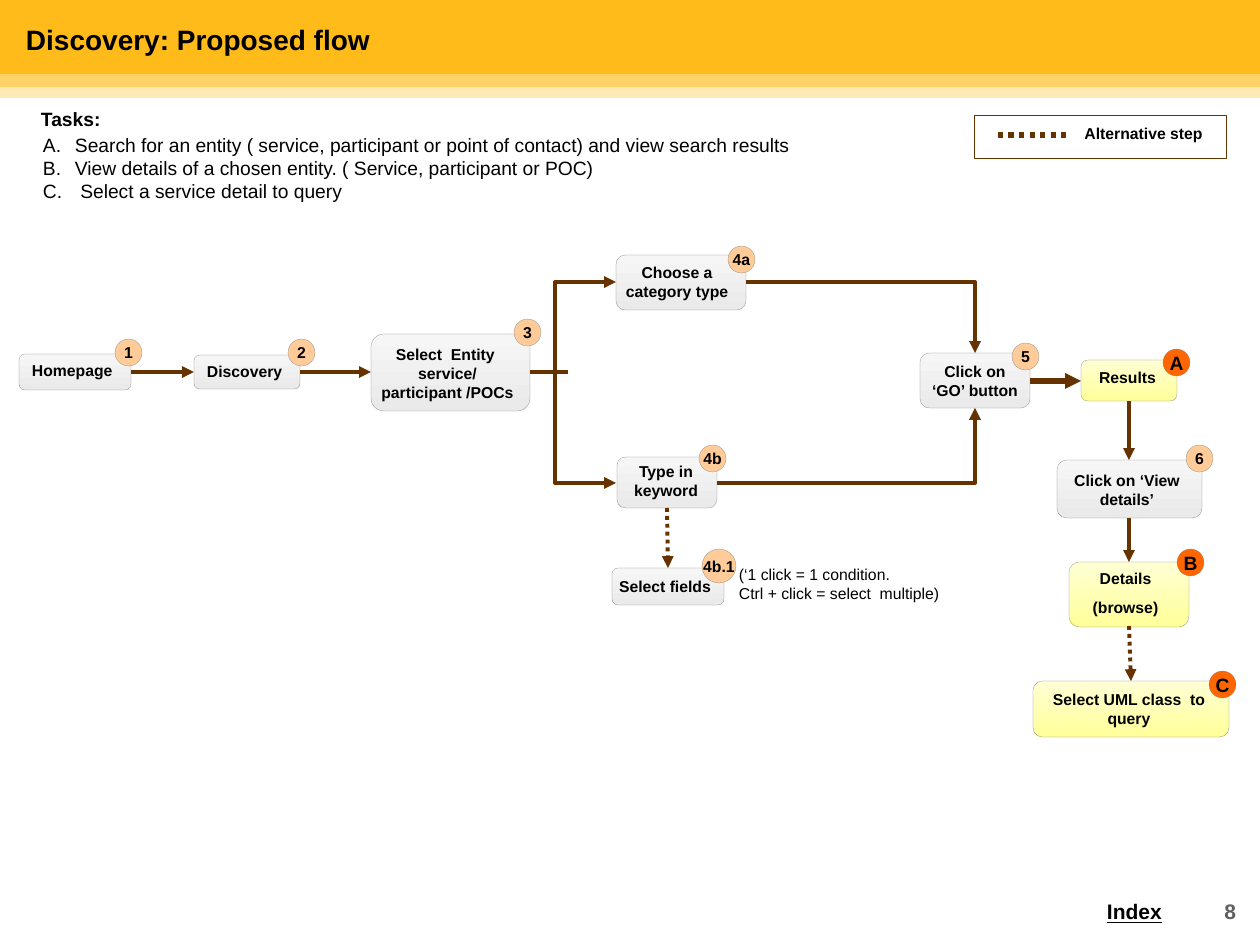
import pptx
import pptx.dml.color
import pptx.enum.dml
import pptx.enum.shapes
import pptx.enum.text
import pptx.oxml.ns
import pptx.util
from lxml import etree

SCALE = 914400 / 63  # EMU in one px
SHAPE = pptx.enum.shapes.MSO_SHAPE
ALIGN = pptx.enum.text.PP_ALIGN
BLACK, BROWN, GREY = "000000", "663300", "808080"
STEP, RESULT = ("F6F6F6", "EAEAEA"), ("FFFFD5", "FFFF99")
STEP_BADGE, RESULT_BADGE = "FFCC99", "FF6600"


def emu(*lengths):
    return [round(length * SCALE) for length in lengths]


def rgb(value):
    return pptx.dml.color.RGBColor.from_string(value)


def add_child(parent, tag, **attributes):
    return etree.SubElement(parent, pptx.oxml.ns.qn(tag), attributes)


def set_all(target, values):
    for name, value in values.items():
        setattr(target, name, value)


class FlowSlide:
    font = "Arial"

    def __init__(self, presentation):
        self.slide = presentation.slides.add_slide(presentation.slide_layouts[5])
        self.shapes = self.slide.shapes

    def fill_text(self, shape, lines, size=18, bold=True, color=BLACK, align=ALIGN.LEFT,
                  space=0, inset=(6, 3), numbered=False, underline=None, wrap=True,
                  anchor=pptx.enum.text.MSO_ANCHOR.TOP):
        frame = shape.text_frame
        side, top = emu(*inset)
        set_all(frame, {"word_wrap": wrap, "vertical_anchor": anchor, "margin_left": side,
                        "margin_right": side, "margin_top": top, "margin_bottom": top})
        frame.text = "\n".join(lines)
        for index, paragraph in enumerate(frame.paragraphs):
            set_all(paragraph, {"alignment": align,
                                "space_before": pptx.util.Pt(space if index else 0)})
            if numbered:
                properties = paragraph._p.get_or_add_pPr()
                indent = emu(32)[0]
                properties.set("marL", str(indent))
                properties.set("indent", str(-indent))
                add_child(properties, "a:buFont", typeface="+mj-lt")
                add_child(properties, "a:buAutoNum", type="alphaUcPeriod")
            for run in paragraph.runs:
                set_all(run.font, {"name": self.font, "size": pptx.util.Pt(size),
                                   "bold": bold, "underline": underline})
                run.font.color.rgb = rgb(color)

    def title(self, text, box, **style):
        title = self.shapes.title
        set_all(title, dict(zip(("left", "top", "width", "height"), emu(*box))))
        self.fill_text(title, [text], **style)
        self.shapes._spTree.append(title._element)  # above the header bands

    def text(self, lines, box, **style):
        self.fill_text(self.shapes.add_textbox(*emu(*box)), lines, **style)

    def shape(self, kind, box, fill=None, line=None, width=0.25, opacity=100):
        shape = self.shapes.add_shape(kind, *emu(*box))
        shape.shadow.inherit = False
        if fill is None:
            shape.fill.background()
        elif isinstance(fill, tuple):
            shape.fill.gradient()
            shape.fill.gradient_angle = 270
            for stop, color in zip(shape.fill.gradient_stops, fill):
                stop.color.rgb = rgb(color)
        else:
            shape.fill.solid()
            shape.fill.fore_color.rgb = rgb(fill)
            if opacity < 100:
                color = shape._element.spPr.find(".//" + pptx.oxml.ns.qn("a:srgbClr"))
                add_child(color, "a:alpha", val=str(opacity * 1000))
        if line:
            shape.line.color.rgb = rgb(line)
            shape.line.width = pptx.util.Pt(width)
        else:
            shape.line.fill.background()
        return shape

    def badge(self, text, box, fill, size):
        badge = self.shape(SHAPE.OVAL, box, fill, GREY)
        self.fill_text(badge, [text], size=size, align=ALIGN.CENTER, wrap=False,
                       anchor=pptx.enum.text.MSO_ANCHOR.MIDDLE)

    def connector(self, start, end, bent=False, width=4.5, dotted=False, arrow="a:tailEnd"):
        kinds = pptx.enum.shapes.MSO_CONNECTOR
        kind = kinds.ELBOW if bent else kinds.STRAIGHT
        connector = self.shapes.add_connector(kind, *emu(*start, *end))
        properties = connector._element.spPr
        if bent:  # one corner: first across, then up or down
            properties.find(pptx.oxml.ns.qn("a:prstGeom")).set("prst", "bentConnector2")
        connector.line.color.rgb = rgb(BROWN)
        connector.line.width = pptx.util.Pt(width)
        if dotted:
            connector.line.dash_style = pptx.enum.dml.MSO_LINE.ROUND_DOT
        if arrow:
            add_child(connector.line._get_or_add_ln(), arrow, type="triangle")
        add_child(properties, "a:effectLst")


# Label lines, box, label box, badge text, badge left and top, badge size, kind
NODES = [
    (["Homepage"], (19, 354, 112, 36), (26, 358, 96, 25), "1", (115, 339), 27, STEP),
    (["Discovery"], (194, 355, 106, 34), (201, 359, 94, 25), "2", (288, 339), 27, STEP),
    (["Select  Entity  service/ participant /POCs"], (371, 334, 159, 77),
     (372, 342, 151, 63), "3", (514, 319), 27, STEP),
    (["Choose a category type"], (616, 255, 130, 55), (616, 260, 122, 44),
     "4a", (728, 246), 27, STEP),
    (["Type in keyword"], (617, 457, 100, 51), (623, 459, 86, 44), "4b", (699, 445), 27, STEP),
    (["Select fields"], (612, 568, 112, 37), (611, 574, 108, 25), "4b.1", (702, 549), 34, STEP),
    (["Click on ‘GO’ button"], (920, 353, 110, 55), (925, 359, 100, 44),
     "5", (1012, 343), 27, STEP),
    (["Results"], (1081, 360, 96, 41), (1088, 365, 79, 25), "A", (1163, 349), 27, RESULT),
    (["Click on ‘View details’"], (1057, 460, 145, 58), (1063, 468, 128, 44),
     "6", (1186, 445), 27, STEP),
    (["Details", "(browse)"], (1069, 562, 120, 65), (1079, 566, 93, 54),
     "B", (1177, 549), 27, RESULT),
    (["Select UML class  to query"], (1033, 681, 196, 56), (1034, 687, 190, 44),
     "C", (1209, 671), 27, RESULT),
]

CONNECTORS = [
    ((131, 372), (194, 372), {}),
    ((300, 372), (371, 372), {}),
    ((530, 372), (568, 372), {"arrow": None}),
    ((616, 282), (555, 372), {"bent": True, "arrow": "a:headEnd"}),
    ((616, 483), (555, 372), {"bent": True, "arrow": "a:headEnd"}),
    ((746, 282), (975, 353), {"bent": True}),
    ((717, 483), (975, 408), {"bent": True}),
    ((667, 508), (668, 568), {"dotted": True}),
    ((1030, 381), (1081, 381), {"width": 6}),
    ((1129, 401), (1129, 460), {}),
    ((1129, 518), (1129, 562), {}),
    ((1129, 626), (1131, 681), {"dotted": True}),
    ((998, 135), (1069, 135), {"width": 6, "dotted": True, "arrow": None}),
]


def main():
    presentation = pptx.Presentation()
    presentation.slide_width, presentation.slide_height = emu(1260, 945)
    page = FlowSlide(presentation)

    # Header
    for top, height, color, opacity in [(74, 13, "FEB400", 60), (87, 11, "FFEAB5", 100),
                                        (0, 74, "FEB400", 90)]:
        page.shape(SHAPE.RECTANGLE, (0, top, 1260, height), color, opacity=opacity)
    page.title("Discovery: Proposed flow", (20, 20, 1185, 40), size=32)

    # Tasks
    page.text(["Tasks:"], (35, 104, 114, 30), size=22)
    page.text(["Search for an entity ( service, participant or point of contact) and view search results",
               "View details of a chosen entity. ( Service, participant or POC)",
               " Select a service detail to query"],
              (37, 130, 849, 76), size=22, bold=False, numbered=True)

    # Legend
    page.shape(SHAPE.RECTANGLE, (974, 115, 252, 43), line=BROWN, width=0.75)
    page.text(["Alternative step"], (1076, 121, 135, 25), align=ALIGN.CENTER)

    # Flow
    for lines, box, label_box, mark, corner, size, fill in NODES:
        page.shape(SHAPE.ROUNDED_RECTANGLE, box, fill, GREY)
        page.text(lines, label_box, space=11.2,
                  align=ALIGN.LEFT if mark in ("1", "2") else ALIGN.CENTER)
        badge_fill, text_size = (RESULT_BADGE, 22) if fill == RESULT else (STEP_BADGE, 18)
        page.badge(mark, (*corner, size, size), badge_fill, text_size)
    page.text(["(‘1 click = 1 condition.", "Ctrl + click = select  multiple)"],
              (733, 562, 233, 44), bold=False)
    for start, end, style in CONNECTORS:
        page.connector(start, end, **style)

    # Footer
    page.text(["Index"], (1094, 893, 94, 38), size=24, underline=True, inset=(13, 6))
    page.text(["8"], (1064, 893, 185, 63), size=24, color="606060",
              align=ALIGN.RIGHT, inset=(13, 6))

    presentation.save("out.pptx")


if __name__ == "__main__":
    main()
